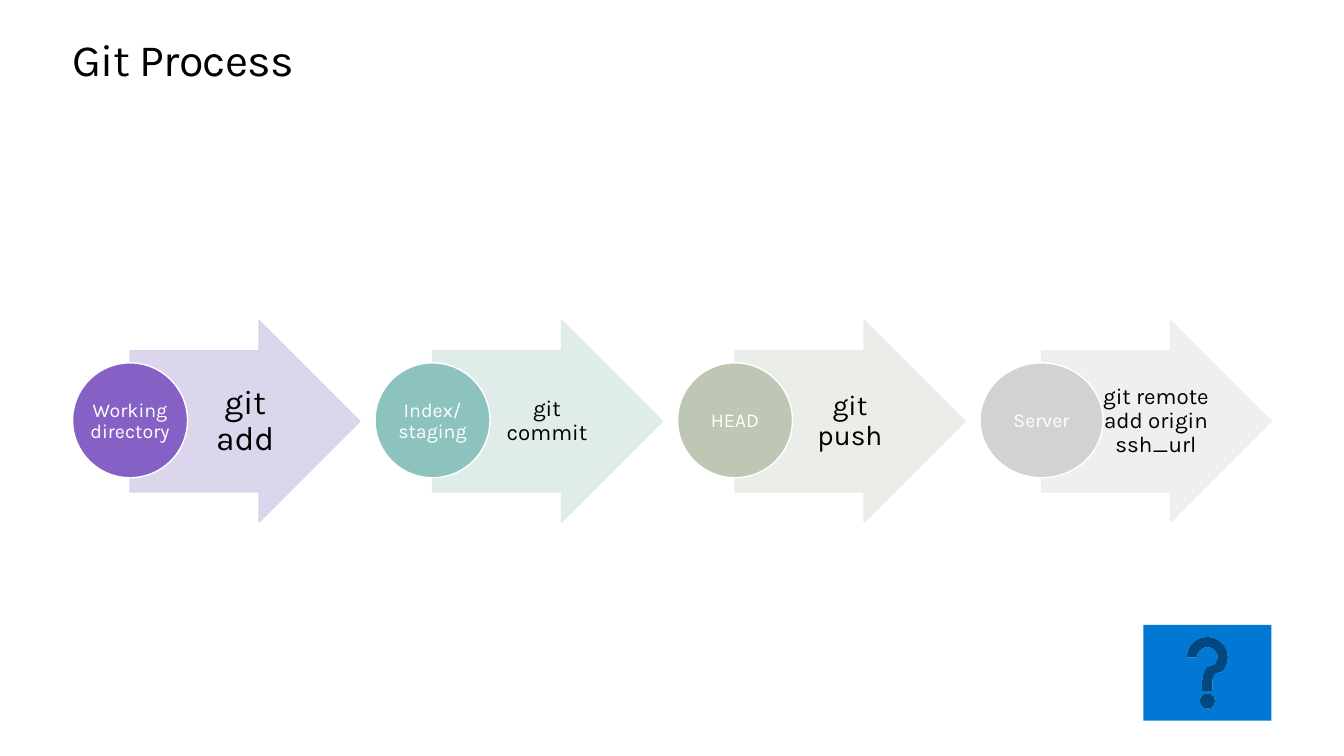
from dataclasses import dataclass
from math import sqrt

from lxml.etree import SubElement
from pptx import Presentation
from pptx.dml.color import RGBColor as Rgb
from pptx.enum.shapes import MSO_SHAPE as Kind
from pptx.enum.text import MSO_ANCHOR as Anchor, MSO_AUTO_SIZE as Fit, PP_ALIGN as Align
from pptx.oxml.ns import qn
from pptx.shapes.autoshape import Shape
from pptx.slide import Slide
from pptx.util import Inches, Pt

FONT = "Karla"
HUES = {
    "black": "000000", "white": "FFFFFF", "help": "0078D4",
    "violet": "8661C5", "lilac": "D9D2EA",
    "teal": "8DC3BE", "mint": "DDEAE8",
    "sage": "BEC7B3", "moss": "E9ECE6",
    "grey": "D2D2D2", "mist": "EEEEEE",
}
LEFT, PITCH, MID = 0.72, 3.0, 4.18
BALL, WIDE, TALL = 1.14, 2.28, 2.0


@dataclass
class Stage:
    name: str
    step: str
    size: int
    dark: str
    pale: str
    pad: float
    width: float = BALL


STAGES = [
    Stage("Working directory", "git add", 24, "violet", "lilac", 0.07),
    Stage("Index/ staging", "git commit", 16, "teal", "mint", 0.04),
    Stage("HEAD", "git push", 20, "sage", "moss", 0.06),
    Stage("Server", "git remote add origin ssh_url", 16, "grey", "mist", 0.04, 1.22),
]


def write(box: Shape, text: str, *, size: int, hue: str = "black",
          align: Align = Align.CENTER, anchor: Anchor = Anchor.MIDDLE,
          space: float | Pt = 0.9,
          pads: tuple[float, float, float, float] = (0.01,) * 4) -> None:
    """Set formatted text; pads run left, top, right, bottom."""
    frame = box.text_frame
    frame.word_wrap = True
    frame.vertical_anchor = anchor
    (frame.margin_left, frame.margin_top,
     frame.margin_right, frame.margin_bottom) = map(Inches, pads)
    para = frame.paragraphs[0]
    para.alignment = align
    para.line_spacing = space
    run = para.add_run()
    run.text = text
    run.font.name = FONT
    run.font.size = Pt(size)
    run.font.color.rgb = Rgb.from_string(HUES[hue])


def draw(slide: Slide, kind: Kind, left: float, top: float, width: float,
         height: float, fill: str, line: str | None = None) -> Shape:
    shape = slide.shapes.add_shape(
        kind, Inches(left), Inches(top), Inches(width), Inches(height))
    shape.shadow.inherit = False
    shape.fill.solid()
    shape.fill.fore_color.rgb = Rgb.from_string(HUES[fill])
    if line:
        shape.line.color.rgb = Rgb.from_string(HUES[line])
        shape.line.width = Pt(1)
    else:
        shape.line.fill.background()
    return shape


def fade(shape: Shape, share: int) -> None:
    """Give fill and line the same opacity, in percent."""
    for color in shape.element.spPr.iter(qn("a:srgbClr")):
        SubElement(color, qn("a:alpha")).set("val", str(share * 1000))


def label(slide: Slide, left: float, width: float, height: float,
          text: str, **style) -> None:
    """Add a text box centred on the row of stages."""
    box = slide.shapes.add_textbox(Inches(left), Inches(MID - height / 2),
                                   Inches(width), Inches(height))
    write(box, text, **style)


def place(slide: Slide, stage: Stage, left: float) -> None:
    half = stage.width / 2
    start = left + half
    arrow = draw(slide, Kind.RIGHT_ARROW, start, MID - TALL / 2, WIDE, TALL,
                 stage.pale, stage.pale)
    arrow.adjustments[0] = 0.7
    arrow.adjustments[1] = 0.5
    fade(arrow, 90)
    label(slide, start + BALL / 2, 1.11, 0.7 * TALL, stage.step,
          size=stage.size, pads=(stage.pad, 0.01, stage.pad / 2, 0.01))

    draw(slide, Kind.OVAL, left, MID - BALL / 2 - 0.01, stage.width, BALL,
         stage.dark, "white")
    inner = stage.width / sqrt(2)
    label(slide, start - inner / 2, inner, BALL / sqrt(2), stage.name,
          size=14, hue="white")


def main() -> None:
    deck = Presentation()
    deck.slide_width, deck.slide_height = Inches(13.33), Inches(7.5)
    slide = deck.slides.add_slide(deck.slide_layouts[5])

    title = slide.shapes.title
    title.left, title.top = Inches(LEFT), Inches(0.35)
    title.width, title.height = Inches(11.9), Inches(0.5)
    write(title, "Git Process", size=32, align=Align.LEFT, anchor=Anchor.TOP,
          space=Pt(36.2), pads=(0, 0, 0, 0))
    title.text_frame.auto_size = Fit.SHAPE_TO_FIT_TEXT
    title.text_frame.paragraphs[0].runs[0].font._element.set("spc", "-50")

    for index, stage in enumerate(STAGES):
        place(slide, stage, LEFT + index * PITCH)

    draw(slide, Kind.ACTION_BUTTON_HELP, 11.34, 6.2, 1.27, 0.95, "help")
    deck.save("out.pptx")


if __name__ == "__main__":
    main()
